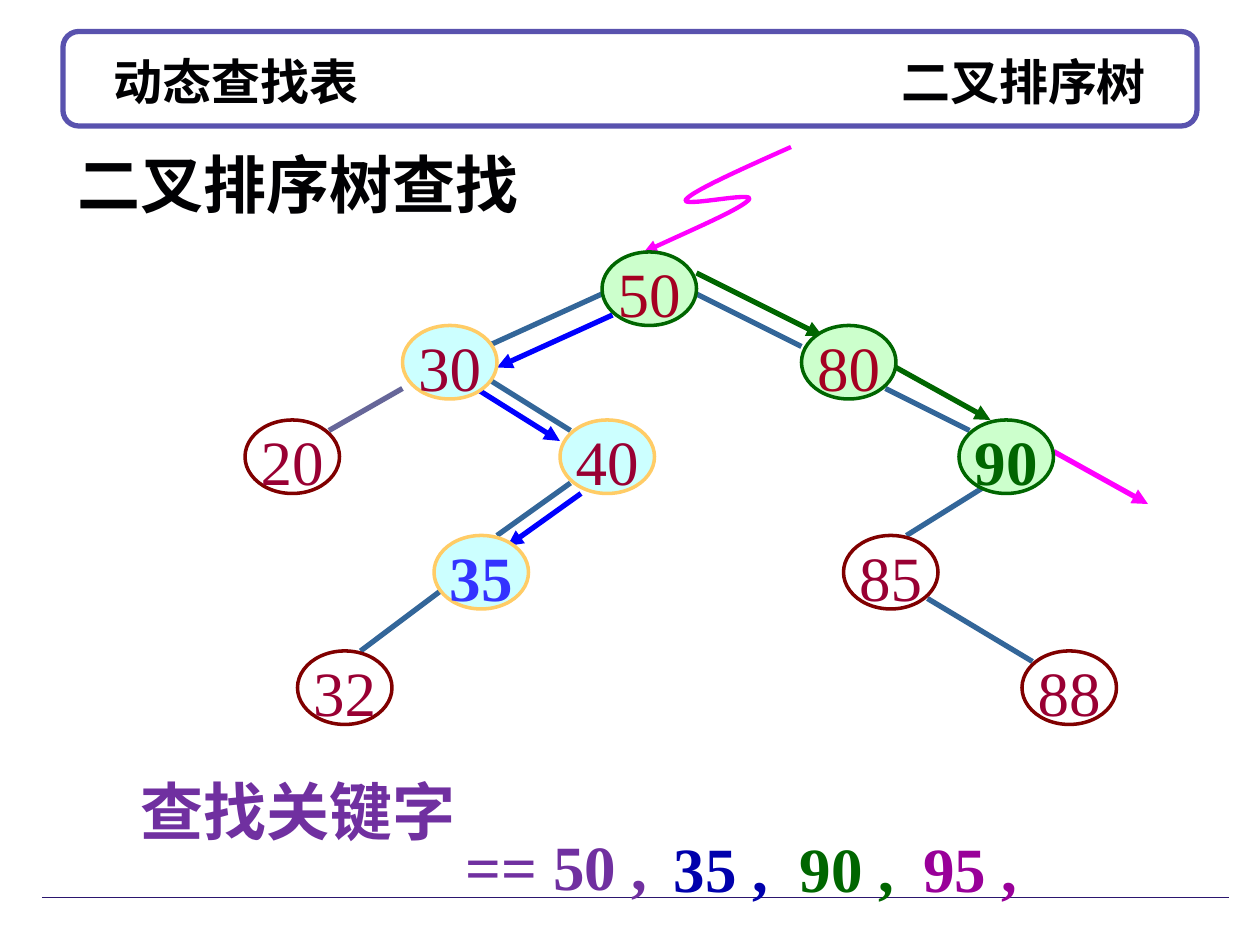
from dataclasses import dataclass

from lxml.etree import SubElement
from pptx import Presentation
from pptx.dml.color import RGBColor
from pptx.enum.shapes import MSO_CONNECTOR, MSO_SHAPE
from pptx.enum.text import MSO_ANCHOR, MSO_AUTO_SIZE, PP_ALIGN
from pptx.oxml.ns import qn
from pptx.slide import Slide
from pptx.util import Pt

WHITE = RGBColor(0xFF, 0xFF, 0xFF)
INK = RGBColor(0x01, 0x01, 0x03)
FRAME = RGBColor(0x59, 0x52, 0xAE)
RULE = RGBColor(0x2B, 0x16, 0x6E)
MAROON = RGBColor(0x80, 0x00, 0x00)
CRIMSON = RGBColor(0x99, 0x00, 0x33)
RED = RGBColor(0xA5, 0x00, 0x21)
STEEL = RGBColor(0x33, 0x66, 0x99)
SLATE = RGBColor(0x66, 0x66, 0x99)
BLUE = RGBColor(0x00, 0x00, 0xFF)
BRIGHT_BLUE = RGBColor(0x33, 0x33, 0xFF)
NAVY = RGBColor(0x00, 0x00, 0xAC)
GREEN = RGBColor(0x00, 0x66, 0x00)
MAGENTA = RGBColor(0xFF, 0x00, 0xFF)
PURPLE = RGBColor(0x70, 0x30, 0xA0)
VIOLET = RGBColor(0x99, 0x00, 0x99)
PALE_CYAN = RGBColor(0xCC, 0xFF, 0xFF)
PALE_GREEN = RGBColor(0xCC, 0xFF, 0xCC)
ORANGE = RGBColor(0xFF, 0xCC, 0x66)

NODE_WIDTH, NODE_HEIGHT = 54, 42
LEVEL_TOPS = [144, 186, 240, 306, 372]

# Fill, outline and text colour of a node
PLAIN = (None, MAROON, CRIMSON)
LEFT_PATH = (PALE_CYAN, ORANGE, CRIMSON)
RIGHT_PATH = (PALE_GREEN, GREEN, RED)

# Key, left, level, look, bold
NODES = [
    ("20", 140, 2, PLAIN, False),
    ("85", 482, 3, PLAIN, False),
    ("88", 584, 4, PLAIN, False),
    ("32", 170, 4, PLAIN, False),
    ("30", 230, 1, LEFT_PATH, False),
    ("40", 320, 2, LEFT_PATH, False),
    ("35", 248, 3, (PALE_CYAN, ORANGE, BRIGHT_BLUE), True),
    ("50", 344, 0, RIGHT_PATH, False),
    ("80", 458, 1, RIGHT_PATH, False),
    ("90", 548, 2, (PALE_GREEN, GREEN, GREEN), True),
]
EDGES = [
    ((344, 168), (278, 198), STEEL),
    ((230, 222), (188, 246), SLATE),
    ((398, 168), (458, 198), STEEL),
    ((278, 216), (326, 246), STEEL),
    ((326, 276), (284, 306), STEEL),
    ((506, 222), (554, 246), STEEL),
    ((566, 276), (518, 306), STEEL),
    ((530, 342), (590, 378), STEEL),
    ((254, 336), (206, 372), STEEL),
]
SEARCH_STEPS = [
    ((350, 180), (284, 210), BLUE),
    ((272, 222), (320, 252), BLUE),
    ((332, 282), (290, 312), BLUE),
    ((398, 156), (470, 192), GREEN),
    ((512, 210), (566, 240), GREEN),
    ((602, 258), (656, 288), MAGENTA),
]
ENTRY_CURVE = [(452, 84), (424, 96.5), (396, 109), (392, 114), (388, 119),
               (432, 109), (428, 114), (424, 119), (396, 131), (368, 144)]
SEARCH_KEYS = [
    ("== 50 ,", 259, 465, 120, PURPLE),
    ("35 ,", 378, 466, 69, NAVY),
    ("90 ,", 450, 466, 69, GREEN),
    ("95 ,", 520.5, 466, 69, VIOLET),
]


@dataclass
class TreeSlide:
    slide: Slide
    font_name: str = "Times New Roman"
    text_size: float = 36
    title_size: float = 28

    def add_run(self, paragraph, text, color, bold=True, size=None):
        run = paragraph.add_run()
        run.text = text
        run.font.name = self.font_name
        run.font.size = Pt(size or self.text_size)
        run.font.bold = bold
        run.font.color.rgb = color

    def add_arrowhead(self, shape):
        SubElement(shape.line._get_or_add_ln(), qn("a:tailEnd"), type="triangle")

    def outline(self, shape, color, width, fill=None):
        shape.shadow.inherit = False
        shape.line.color.rgb = color
        shape.line.width = Pt(width)
        if fill is None:
            shape.fill.background()
        else:
            shape.fill.solid()
            shape.fill.fore_color.rgb = fill

    def frame(self, left, top, width, height):
        shape = self.slide.shapes.add_shape(
            MSO_SHAPE.ROUNDED_RECTANGLE, Pt(left), Pt(top), Pt(width), Pt(height))
        self.outline(shape, FRAME, 3, WHITE)

    def title(self, left_text, right_text):
        """Set two headings, the second against a right tab, in front of the frame."""
        title = self.slide.shapes.title
        title.left, title.top, title.width, title.height = Pt(36), Pt(24), Pt(648), Pt(45)
        self.slide.shapes._spTree.append(title._element)
        frame = title.text_frame
        frame.margin_left = Pt(28.8)
        frame.vertical_anchor = MSO_ANCHOR.MIDDLE
        frame.auto_size = MSO_AUTO_SIZE.NONE
        paragraph = frame.paragraphs[0]
        paragraph.alignment = PP_ALIGN.LEFT
        tabs = SubElement(paragraph._p.get_or_add_pPr(), qn("a:tabLst"))
        SubElement(tabs, qn("a:tab"), pos=str(Pt(590)), algn="r")
        self.add_run(paragraph, left_text, INK, size=self.title_size)
        self.add_run(paragraph, "\t" + right_text, INK, size=self.title_size)

    def line(self, start, end, color, width=3, arrow=False):
        connector = self.slide.shapes.add_connector(
            MSO_CONNECTOR.STRAIGHT, *(Pt(value) for value in start + end))
        connector.line.color.rgb = color
        connector.line.width = Pt(width)
        if arrow:
            self.add_arrowhead(connector)
        SubElement(connector._element.spPr, qn("a:effectLst"))

    def curve(self, points, color, width):
        """Draw a Bezier curve; each three points after the first make one segment."""
        points = [(Pt(x), Pt(y)) for x, y in points]
        builder = self.slide.shapes.build_freeform(*points[0])
        builder.add_line_segments(points[1:], close=False)
        shape = builder.convert_to_shape()
        outline = next(shape._element.iter(qn("a:path")))
        segments = outline.findall(qn("a:lnTo"))
        for first in range(0, len(segments), 3):
            bezier = SubElement(outline, qn("a:cubicBezTo"))
            for segment in segments[first:first + 3]:
                bezier.append(segment[0])
                outline.remove(segment)
        self.outline(shape, color, width)
        self.add_arrowhead(shape)

    def node(self, key, left, level, look, bold):
        fill, line_color, text_color = look
        shape = self.slide.shapes.add_shape(
            MSO_SHAPE.OVAL, Pt(left), Pt(LEVEL_TOPS[level]), Pt(NODE_WIDTH), Pt(NODE_HEIGHT))
        self.outline(shape, line_color, 2, fill)
        frame = shape.text_frame
        frame.word_wrap = False
        frame.vertical_anchor = MSO_ANCHOR.MIDDLE
        paragraph = frame.paragraphs[0]
        paragraph.alignment = PP_ALIGN.CENTER
        paragraph.line_spacing = 1.1
        self.add_run(paragraph, key, text_color, bold)

    def label(self, text, left, top, width, color, wrap=False):
        box = self.slide.shapes.add_textbox(Pt(left), Pt(top), Pt(width), Pt(54))
        box.text_frame.word_wrap = wrap
        box.text_frame.auto_size = MSO_AUTO_SIZE.SHAPE_TO_FIT_TEXT
        paragraph = box.text_frame.paragraphs[0]
        paragraph.line_spacing = 1.1
        self.add_run(paragraph, text, color)


def main():
    presentation = Presentation()
    presentation.slide_width, presentation.slide_height = Pt(720), Pt(540)
    tree = TreeSlide(presentation.slides.add_slide(presentation.slide_layouts[5]))

    tree.frame(36, 18, 648, 54)
    tree.line((24, 513), (702, 513), RULE, 0.75)
    tree.title("动态查找表", "二叉排序树")
    tree.label("二叉排序树查找", 37, 75.5, 272, INK, wrap=True)

    for start, end, color in EDGES:
        tree.line(start, end, color)
    tree.curve(ENTRY_CURVE, MAGENTA, 2.5)
    for start, end, color in SEARCH_STEPS:
        tree.line(start, end, color, arrow=True)
    for node in NODES:
        tree.node(*node)

    tree.label("查找关键字", 73.5, 433.5, 216, PURPLE, wrap=True)
    for search_key in SEARCH_KEYS:
        tree.label(*search_key)
    presentation.save("out.pptx")


if __name__ == "__main__":
    main()
